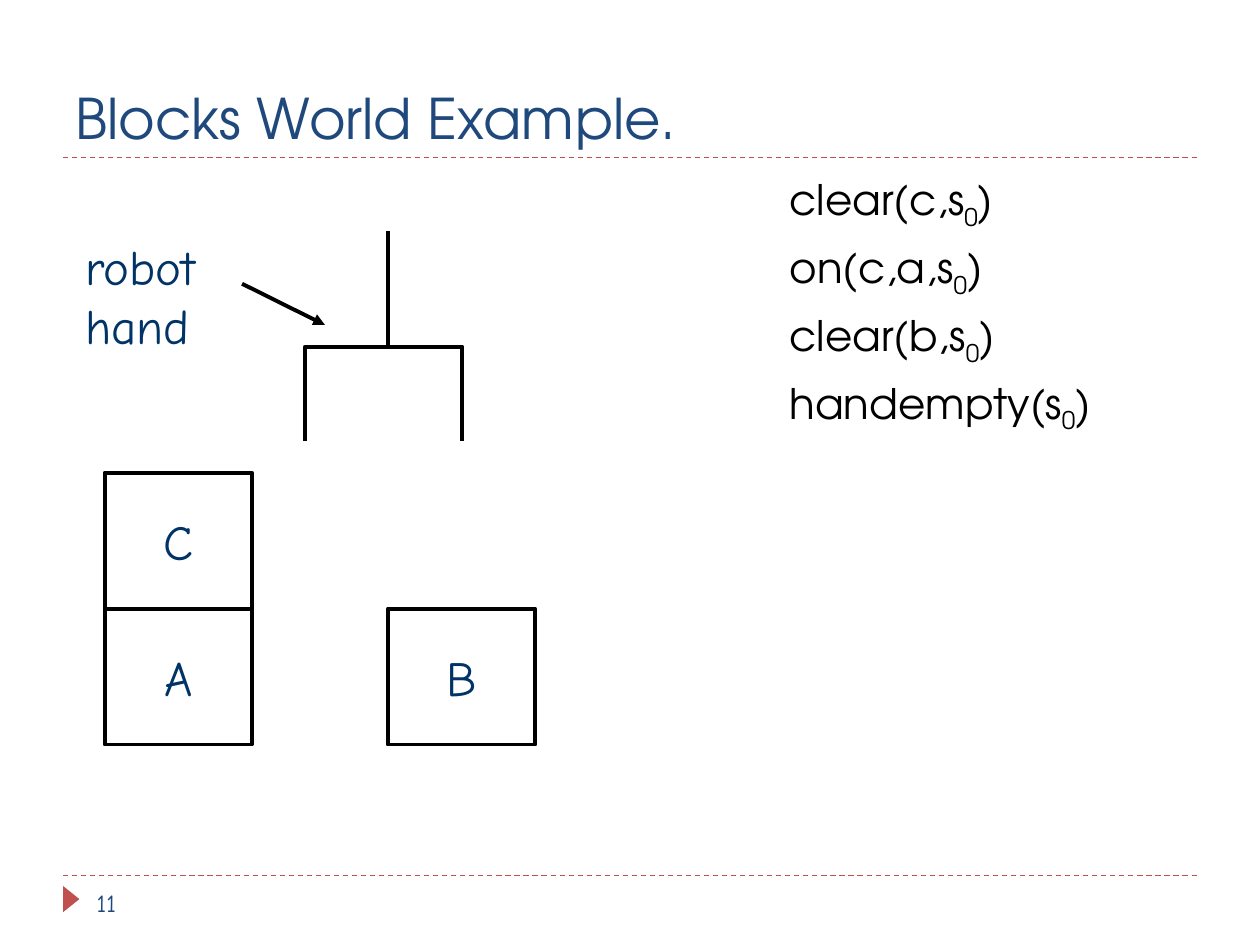
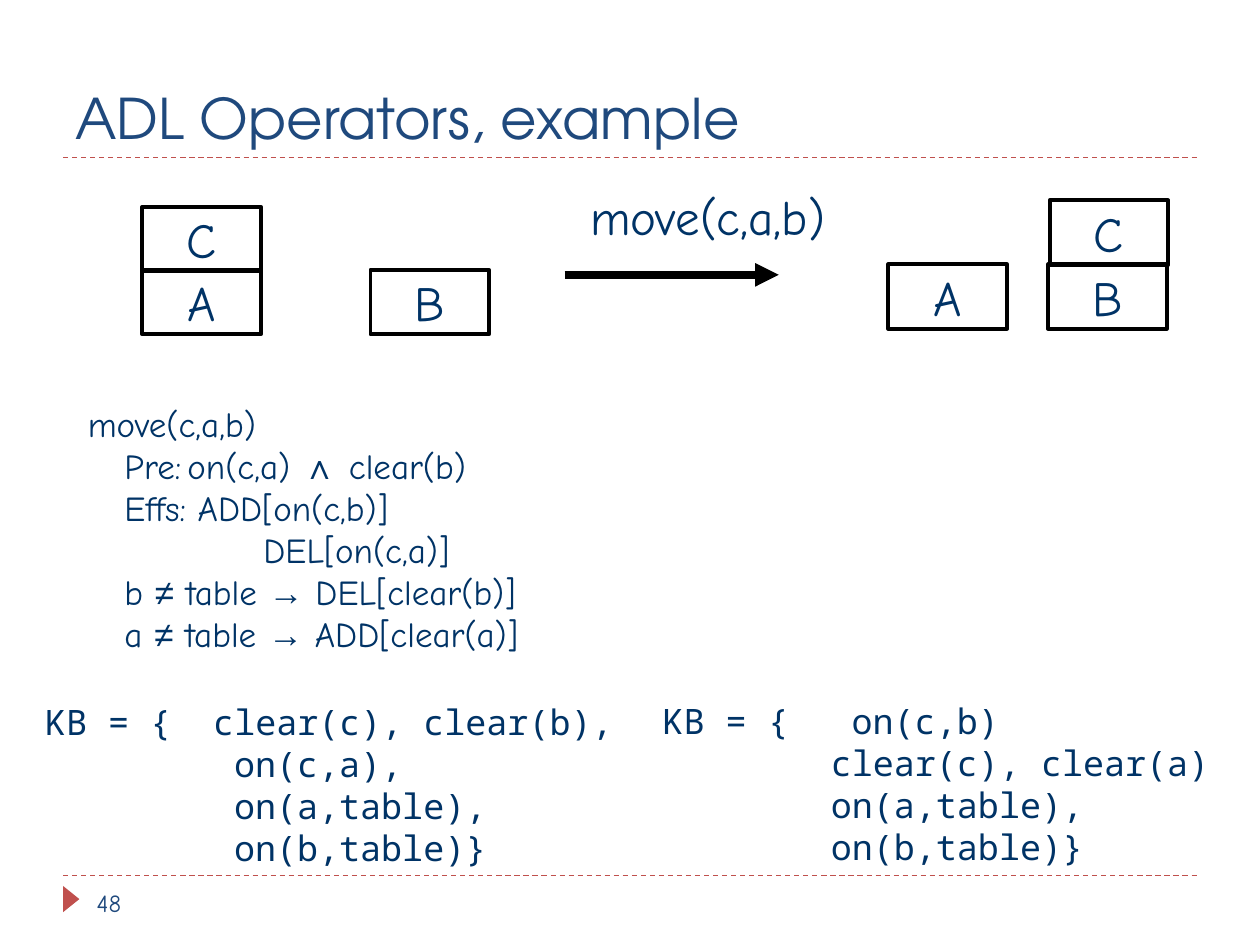
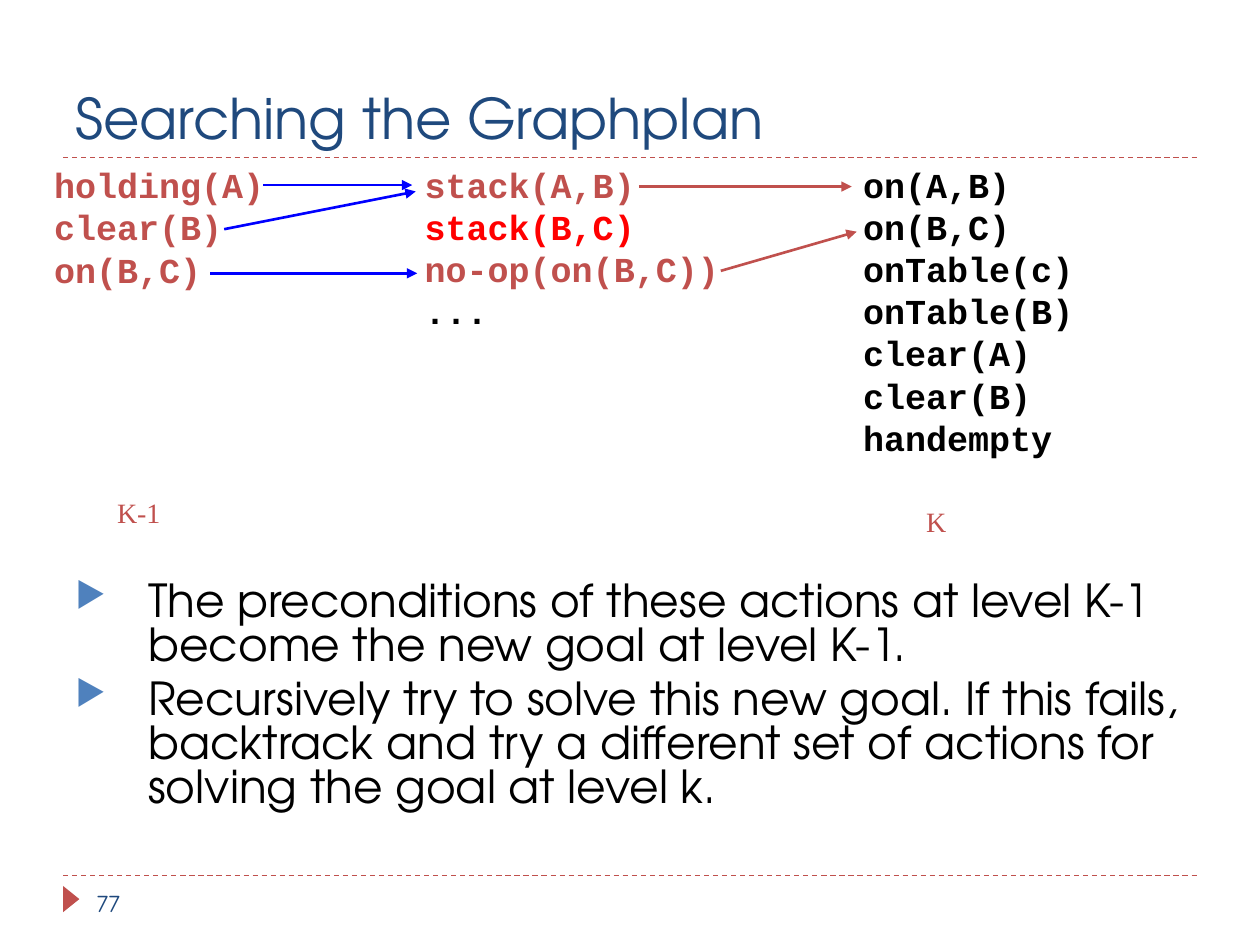
from lxml import etree
from pptx import Presentation
from pptx.dml.color import RGBColor
from pptx.enum.dml import MSO_LINE
from pptx.enum.shapes import MSO_CONNECTOR, MSO_SHAPE
from pptx.enum.text import MSO_ANCHOR, PP_ALIGN
from pptx.oxml.ns import qn
from pptx.util import Cm, Pt

DASH = MSO_LINE.DASH
STRAIGHT = MSO_CONNECTOR.STRAIGHT
RECT, WEDGE = MSO_SHAPE.RECTANGLE, MSO_SHAPE.ISOSCELES_TRIANGLE
LEFT, CENTER = PP_ALIGN.LEFT, PP_ALIGN.CENTER
TOP, MIDDLE, BOTTOM = MSO_ANCHOR.TOP, MSO_ANCHOR.MIDDLE, MSO_ANCHOR.BOTTOM

NAVY = RGBColor(0x1F, 0x49, 0x7D)
INK = RGBColor(0x00, 0x33, 0x66)
BRICK = RGBColor(0xC0, 0x50, 0x4D)
SKY = RGBColor(0x4F, 0x81, 0xBD)
BLUE = RGBColor(0x00, 0x00, 0xFF)
RED = RGBColor(0xFF, 0x00, 0x00)
BLACK = RGBColor(0x00, 0x00, 0x00)

GOTHIC, COMIC, ARIAL = "TeX Gyre Adventor", "Comic Neue", "Arial"
MONO, CODE, SERIF = "Noto Sans Mono", "Courier New", "Times New Roman"


def write(shape, lines, font=COMIC, size=20, color=INK, bold=False, align=LEFT,
          anchor=TOP, wrap=True, before=0, space=None, left=(0,), hang=0,
          tab=None, bullet=None):
    """Fill a shape with one paragraph per line.

    A line is a string or a list of strings and (string, changes) pairs.
    The last value of left serves all further lines.
    """
    frame = shape.text_frame
    frame.word_wrap, frame.vertical_anchor = wrap, anchor
    for i, line in enumerate(lines):
        para = frame.add_paragraph() if i else frame.paragraphs[0]
        para.alignment = align
        para.space_before = Pt(before if i else 0)
        if space:
            para.line_spacing = space
        props = para._p.get_or_add_pPr()
        props.set("marL", str(Cm(left[min(i, len(left) - 1)])))
        props.set("indent", str(-Cm(hang)))
        if bullet:
            tint = etree.SubElement(props, qn("a:buClr"))
            etree.SubElement(tint, qn("a:srgbClr"), val=str(bullet))
            etree.SubElement(props, qn("a:buSzPct"), val="76000")
            etree.SubElement(props, qn("a:buChar"), char="▶")
        if tab:
            stops = etree.SubElement(props, qn("a:tabLst"))
            etree.SubElement(stops, qn("a:tab"), pos=str(Cm(tab)), algn="l")
        for part in [line] if isinstance(line, str) else line:
            text, diff = (part, {}) if isinstance(part, str) else part
            run = para.add_run()
            run.text = text
            run.font.name = diff.get("font", font)
            run.font.size = Pt(size)
            run.font.bold = bold
            run.font.color.rgb = diff.get("color", color)
            if "base" in diff:
                run.font._element.set("baseline", str(diff["base"] * 1000))


def draw_line(slide, ends, color=BLACK, width=2.25, dash=None, arrow=False):
    line = slide.shapes.add_connector(STRAIGHT, *map(Cm, ends))
    line.line.color.rgb = color
    line.line.width = Pt(width)
    if dash:
        line.line.dash_style = dash
    if arrow:
        etree.SubElement(line.line._get_or_add_ln(), qn("a:tailEnd"), type="triangle")
    etree.SubElement(line._element.spPr, qn("a:effectLst"))


deck = Presentation()
deck.slide_width, deck.slide_height = Cm(25.4), Cm(19.05)

# Title, rules and page number on every slide
slides = []
for title, page in [("Blocks World Example.", "11"),
                    ("ADL Operators, example", "48"),
                    ("Searching the Graphplan", "77")]:
    slide = deck.slides.add_slide(deck.slide_layouts[6])
    slides.append(slide)
    for y in (17.65, 3.17):
        draw_line(slide, (1.27, y, 24.13, y), BRICK, 0.75, DASH)
    mark = slide.shapes.add_shape(WEDGE, Cm(1.17), Cm(17.96), Cm(0.53), Cm(0.33))
    mark.rotation = 90
    mark.shadow.inherit = False
    mark.fill.solid()
    mark.fill.fore_color.rgb = BRICK
    mark.line.fill.background()
    head = slide.shapes.add_textbox(Cm(1.27), Cm(0.43), Cm(22.86), Cm(2.74))
    write(head, [title], font=GOTHIC, size=32, color=NAVY, anchor=BOTTOM)
    foot = slide.shapes.add_textbox(Cm(1.7), Cm(17.78), Cm(5.51), Cm(0.89))
    write(foot, [page], size=14, color=NAVY)
world, adl, graph = slides

# Lettered blocks
for slide, wide, high, blocks in [
    (world, 2.97, 2.74, [("C", 2.11, 9.53), ("A", 2.11, 12.27), ("B", 7.82, 12.27)]),
    (adl, 2.39, 1.3, [("C", 2.87, 4.17), ("A", 2.87, 5.44), ("B", 7.47, 5.44),
                      ("C", 21.16, 4.04), ("A", 17.91, 5.33), ("B", 21.13, 5.33)]),
]:
    for name, x, y in blocks:
        block = slide.shapes.add_shape(RECT, Cm(x), Cm(y), Cm(wide), Cm(high))
        block.shadow.inherit = False
        block.fill.background()
        block.line.color.rgb = BLACK
        block.line.width = Pt(2.25)
        write(block, [name], size=28, align=CENTER, anchor=MIDDLE, wrap=False)

# Blocks world: robot hand and facts
pen = world.shapes.build_freeform(Cm(6.15), Cm(8.89))
pen.add_line_segments([(Cm(6.15), Cm(6.99)), (Cm(9.32), Cm(6.99)),
                       (Cm(9.32), Cm(8.89))], close=False)
hand = pen.convert_to_shape()
hand.shadow.inherit = False
hand.fill.background()
hand.line.color.rgb = BLACK
hand.line.width = Pt(2.25)
draw_line(world, (7.82, 4.65, 7.82, 6.99))
draw_line(world, (4.88, 5.72, 6.55, 6.55), arrow=True)
label = world.shapes.add_textbox(Cm(1.47), Cm(4.65), Cm(5.51), Cm(2.62))
write(label, ["robot", "hand"], size=28)
facts = world.shapes.add_textbox(Cm(15.67), Cm(3.38), Cm(8.46), Cm(7.62))
write(facts, [[fact, ("0", {"base": -25}), ")"]
              for fact in ("clear(c,s", "on(c,a,s", "clear(b,s", "handempty(s")],
      font=GOTHIC, size=24, color=BLACK, before=6)

# ADL: the move and the knowledge base before and after it
draw_line(adl, (11.38, 5.54, 15.7, 5.54), width=4.5, arrow=True)
label = adl.shapes.add_textbox(Cm(11.18), Cm(3.63), Cm(6.17), Cm(1.42))
write(label, ["move(c,a,b)"], size=28, align=CENTER)
sign = {"font": ARIAL}
rule = adl.shapes.add_textbox(Cm(1.52), Cm(7.98), Cm(15.11), Cm(6.63))
write(rule, ["move(c,a,b)",
             ["Pre:\ton(c,a) ", ("∧", sign), " clear(b)"],
             "Effs: ADD[on(c,b)]",
             "DEL[on(c,a)]",
             ["b ", ("≠", sign), " table ", ("→", sign), " DEL[clear(b)]"],
             ["a ", ("≠", sign), " table ", ("→", sign), " ADD[clear(a)]"]],
      left=(0, 0.74, 0.74, 3.54, 0.74), tab=1.63)
for x, y, high, inset, lines in [
    (0.66, 14, 5.05, 3.81,
     ["KB = {  clear(c), clear(b),", "on(c,a),", "on(a,table),", "on(b,table)}"]),
    (13.11, 13.97, 3.84, 3.39,
     ["KB = {\ton(c,b)", "clear(c), clear(a)", "on(a,table),", "on(b,table)}"]),
]:
    base = adl.shapes.add_textbox(Cm(x), Cm(y), Cm(12.29), Cm(high))
    write(base, lines, font=MONO, left=(0, inset), tab=3.81)

# Graphplan: facts, actions, goals and the links between them
for x, wide, high, color, lines in [
    (0.84, 6.55, 2.79, BRICK, ["holding(A)", "clear(B)", "on(B,C)"]),
    (8.31, 7.82, 3.66, BRICK, ["stack(A,B)", [("stack(B,C)", {"color": RED})],
                               "no-op(on(B,C))", [("...", {"color": BLACK})]]),
    (17.15, 6.55, 6.2, BLACK, ["on(A,B)", "on(B,C)", "onTable(c)", "onTable(B)",
                               "clear(A)", "clear(B)", "handempty"]),
]:
    level = graph.shapes.add_textbox(Cm(x), Cm(3.18), Cm(wide), Cm(high))
    write(level, lines, font=CODE, color=color, bold=True)
for color, ends in [(BRICK, (12.88, 3.76, 17.17, 3.76)),
                    (BRICK, (14.53, 5.46, 17.27, 4.67)),
                    (BLUE, (4.24, 5.51, 8.41, 5.51)),
                    (BLUE, (4.52, 4.62, 8.38, 3.86)),
                    (BLUE, (5.31, 3.73, 8.31, 3.73))]:
    draw_line(graph, ends, color, 1.5, arrow=True)
for name, x, y, wide in [("K-1", 2.11, 9.96, 1.91), ("K", 18.42, 10.16, 1.27)]:
    label = graph.shapes.add_textbox(Cm(x), Cm(y), Cm(wide), Cm(0.84))
    write(label, [name], font=SERIF, size=16, color=BRICK, space=0.85)
notes = graph.shapes.add_textbox(Cm(1.27), Cm(11.63), Cm(22.86), Cm(5.38))
write(notes, ["The preconditions of these actions at level K-1 become the new goal "
              "at level K-1.",
              "Recursively try to solve this new goal. If this fails, backtrack and "
              "try a different set of actions for solving the goal at level k."],
      font=GOTHIC, size=26, color=BLACK, before=6, space=0.8,
      left=(1.47,), hang=1.47, bullet=SKY)

deck.save("out.pptx")
